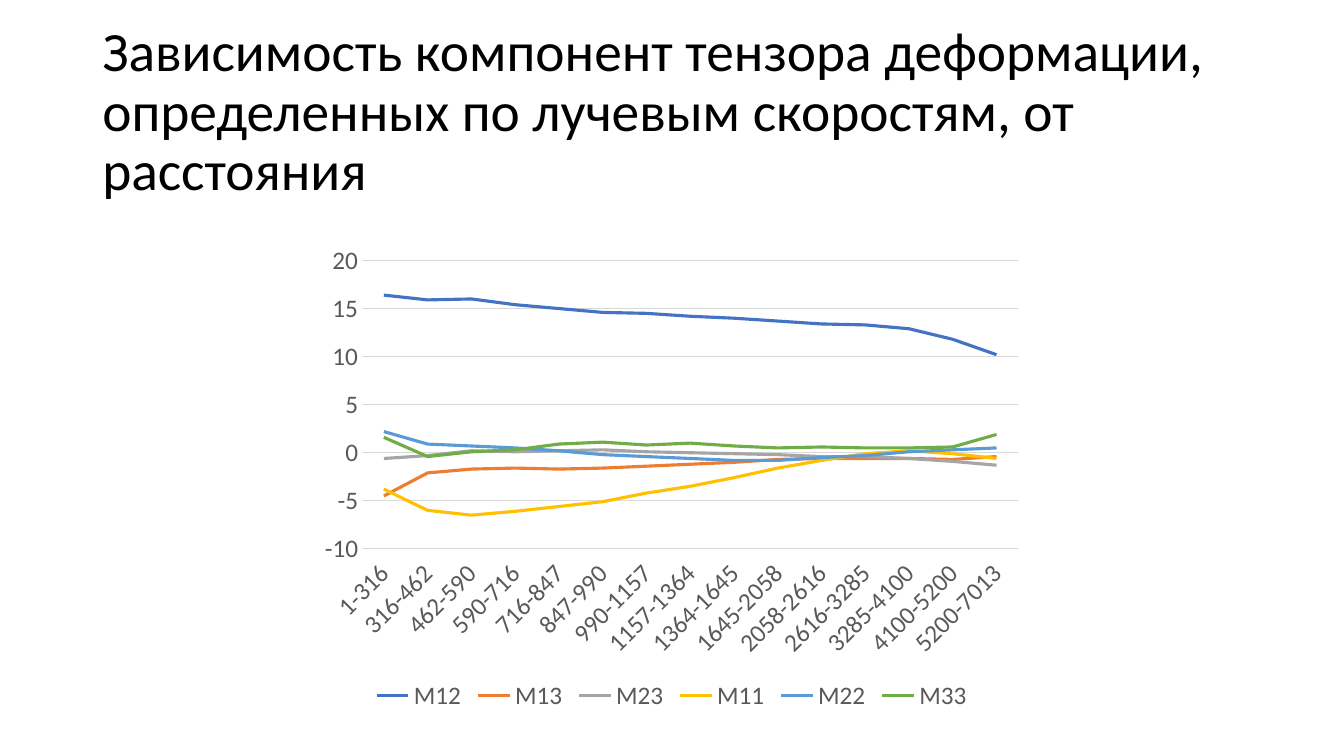
from dataclasses import dataclass

from pptx import Presentation
from pptx.chart.data import CategoryChartData
from pptx.dml.color import RGBColor as RGB
from pptx.enum.chart import XL_CHART_TYPE as ChartType
from pptx.enum.chart import XL_LEGEND_POSITION as LegendPos
from pptx.enum.chart import XL_TICK_LABEL_POSITION as LabelPos
from pptx.enum.chart import XL_TICK_MARK as TickMark
from pptx.enum.text import MSO_ANCHOR as Anchor
from pptx.util import Cm, Pt


@dataclass(frozen=True)
class Theme:
    """Fonts, sizes and colours of the slide."""
    font: str = "Calibri"
    title_size: float = 39.6
    chart_size: float = 18
    title: str = "000000"
    label: str = "595959"
    grid: str = "D9D9D9"
    grid_width: float = 0.75
    series_width: float = 2.25
    series: tuple = ("4472C4", "ED7D31", "A5A5A5", "FFC000", "5B9BD5", "70AD47")


THEME = Theme()
TITLE = ("Зависимость компонент тензора деформации, \v"
         "определенных по лучевым скоростям, от расстояния")
DISTANCES = ("1-316", "316-462", "462-590", "590-716", "716-847", "847-990",
             "990-1157", "1157-1364", "1364-1645", "1645-2058", "2058-2616",
             "2616-3285", "3285-4100", "4100-5200", "5200-7013")
COMPONENTS = {
    "M12": (16.4, 15.9, 16, 15.4, 15, 14.6, 14.5, 14.2, 14, 13.7, 13.4, 13.3, 12.9, 11.8, 10.2),
    "M13": (-4.5, -2.1, -1.7, -1.6, -1.7, -1.6, -1.4, -1.2, -1, -0.7, -0.6, -0.6, -0.6, -0.7, -0.4),
    "M23": (-0.6, -0.3, 0.2, 0.1, 0.2, 0.3, 0.1, 0, -0.1, -0.2, -0.4, -0.4, -0.6, -0.9, -1.3),
    "M11": (-3.8, -6, -6.5, -6.1, -5.6, -5.1, -4.2, -3.5, -2.6, -1.6, -0.8, -0.1, 0.2, -0.1, -0.6),
    "M22": (2.2, 0.9, 0.7, 0.5, 0.2, -0.2, -0.4, -0.6, -0.8, -0.8, -0.5, -0.3, 0.1, 0.3, 0.5),
    "M33": (1.6, -0.4, 0.1, 0.3, 0.9, 1.1, 0.8, 1, 0.7, 0.5, 0.6, 0.5, 0.5, 0.6, 1.9),
}


def style_font(font, size, color):
    """Set the typeface, size and colour of a font."""
    font.name = THEME.font
    font.size = Pt(size)
    font.color.rgb = RGB.from_string(color)


def style_line(line, color, width):
    """Set the colour and width of a line."""
    line.color.rgb = RGB.from_string(color)
    line.width = Pt(width)


def add_title(s, left, top, width, height):
    """Place the slide title in the given box."""
    tf = s.shapes.add_textbox(left, top, width, height).text_frame
    tf.word_wrap = True
    tf.vertical_anchor = Anchor.MIDDLE
    p = tf.paragraphs[0]
    p.text = TITLE
    p.line_spacing = 0.9
    for r in p.runs:
        style_font(r.font, THEME.title_size, THEME.title)


def style_axes(chart):
    """Format both axes and the horizontal gridlines."""
    cat, val = chart.category_axis, chart.value_axis
    for axis in (cat, val):
        axis.major_tick_mark = axis.minor_tick_mark = TickMark.NONE
        style_font(axis.tick_labels.font, THEME.chart_size, THEME.label)
    cat.tick_label_position = LabelPos.LOW
    style_line(cat.format.line, THEME.grid, THEME.grid_width)
    cat.tick_labels.font
    cat._element.txPr.bodyPr.set("rot", "-2700000")
    val.minimum_scale, val.maximum_scale, val.major_unit = -10, 20, 5
    val.format.line.fill.background()
    val.has_major_gridlines = True
    style_line(val.major_gridlines.format.line, THEME.grid, THEME.grid_width)


def add_tensor_chart(s, left, top, width, height):
    """Place the line chart of tensor components in the given box."""
    data = CategoryChartData()
    data.categories = DISTANCES
    for name, values in COMPONENTS.items():
        data.add_series(name, values)
    chart = s.shapes.add_chart(ChartType.LINE, left, top, width, height, data).chart
    chart.has_title = False
    style_font(chart.font, THEME.chart_size, THEME.label)
    style_axes(chart)
    chart.has_legend = True
    chart.legend.position = LegendPos.BOTTOM
    chart.legend.include_in_layout = False
    style_font(chart.legend.font, THEME.chart_size, THEME.label)
    plot = chart.plots[0]
    plot.vary_by_categories = False
    for series, color in zip(plot.series, THEME.series):
        series.smooth = False
        style_line(series.format.line, color, THEME.series_width)


def main():
    """Build and save the slide."""
    prs = Presentation()
    prs.slide_width, prs.slide_height = Cm(33.87), Cm(19.05)
    s = prs.slides.add_slide(prs.slide_layouts[6])
    add_title(s, Cm(2.33), Cm(1.01), Cm(29.21), Cm(3.68))
    add_tensor_chart(s, Cm(7.82), Cm(5.94), Cm(18.21), Cm(12.09))
    prs.save("out.pptx")


if __name__ == "__main__":
    main()
